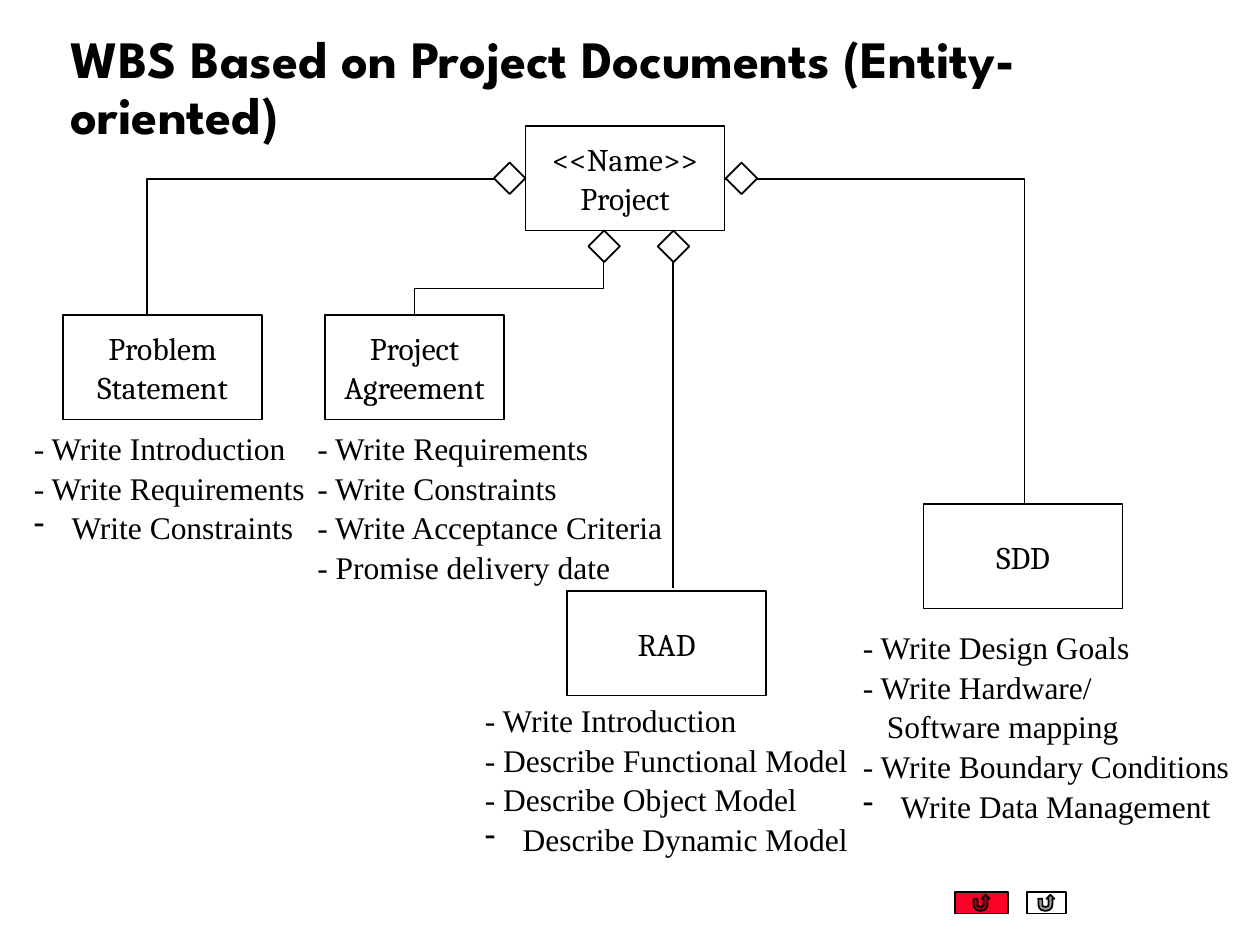
from lxml import etree
from pptx import Presentation
from pptx.dml.color import RGBColor
from pptx.enum.shapes import MSO_CONNECTOR, MSO_SHAPE
from pptx.enum.text import MSO_ANCHOR, PP_ALIGN
from pptx.oxml.ns import qn
from pptx.util import Inches, Pt

COLORS = {"ink": "000000", "paper": "FFFFFF", "alert": "FC0128"}
TITLE_FONT, BOX_FONT, TASK_FONT = "League Spartan", "Cambria", "Times New Roman"
BOX_W, BOX_H, DIAMOND = 1.58, 0.83, 0.25
HANG = 0.3

# name, box (left, top, width), task list (left, top, width, height), tasks;
# a task without its own dash gets a hanging dash bullet
DOCUMENTS = [
    ("Problem\nStatement", (0.5, 2.5, BOX_W), (0.17, 3.34, 2.67, 1.3),
     ["- Write Introduction", "- Write Requirements", "Write Constraints"]),
    ("Project\nAgreement", (2.58, 2.5, 1.42), (2.42, 3.34, 3.17, 1.3),
     ["- Write Requirements", "- Write Constraints",
      "- Write Acceptance Criteria", "- Promise delivery date"]),
    ("RAD", (4.5, 4.69, BOX_W), (3.75, 5.5, 3.33, 1.3),
     ["- Write Introduction", "- Describe Functional Model",
      "- Describe Object Model", "Describe Dynamic Model"]),
    ("SDD", (7.33, 4, BOX_W), (6.75, 4.92, 3.25, 1.6),
     ["- Write Design Goals", "- Write Hardware/\vSoftware mapping",
      "- Write Boundary Conditions", "Write Data Management"]),
]


def rgb(name):
    return RGBColor.from_string(COLORS[name])


def style_font(paragraph, face, size, bold=False):
    for run in paragraph.runs:
        run.font.name = face
        run.font.size = Pt(size)
        run.font.bold = bold
        run.font.color.rgb = rgb("ink")


def set_indent(paragraph, hang):
    properties = paragraph._p.get_or_add_pPr()
    properties.set("marL", str(Inches(hang)))
    properties.set("indent", str(-Inches(hang)))
    return properties


def add_outlined(slide, kind, left, top, width, height, fill="paper"):
    shape = slide.shapes.add_shape(
        kind, Inches(left), Inches(top), Inches(width), Inches(height))
    shape.shadow.inherit = False
    shape.fill.solid()
    shape.fill.fore_color.rgb = rgb(fill)
    shape.line.color.rgb = rgb("ink")
    shape.line.width = Pt(1)
    return shape


def add_title(slide, text, left, top, width, height):
    title = slide.shapes.title
    title.left, title.top = Inches(left), Inches(top)
    title.width, title.height = Inches(width), Inches(height)
    frame = title.text_frame
    frame.text = text
    frame.word_wrap = True
    frame.vertical_anchor = MSO_ANCHOR.MIDDLE
    heading = frame.paragraphs[0]
    heading.alignment = PP_ALIGN.LEFT
    heading.line_spacing = 0.9
    style_font(heading, TITLE_FONT, 30, bold=True)


def add_document_box(slide, name, left, top, width=BOX_W):
    box = add_outlined(slide, MSO_SHAPE.RECTANGLE, left, top, width, BOX_H)
    frame = box.text_frame
    frame.text = name
    frame.word_wrap = False
    frame.vertical_anchor = MSO_ANCHOR.MIDDLE
    for paragraph in frame.paragraphs:
        paragraph.alignment = PP_ALIGN.CENTER
        paragraph.line_spacing = 1.03
        style_font(paragraph, BOX_FONT, 18)


def add_task_list(slide, tasks, left, top, width, height):
    task_box = slide.shapes.add_textbox(
        Inches(left), Inches(top), Inches(width), Inches(height))
    frame = task_box.text_frame
    frame.word_wrap = True
    for index, task in enumerate(tasks):
        paragraph = frame.add_paragraph() if index else frame.paragraphs[0]
        paragraph.text = task
        paragraph.line_spacing = 1.05
        if not task.startswith("-"):
            bullet = etree.SubElement(set_indent(paragraph, HANG), qn("a:buChar"))
            bullet.set("char", "-")
        elif "\v" in task:
            set_indent(paragraph, 0.19)
        style_font(paragraph, TASK_FONT, 18)


def add_link(slide, start, end, geometry="line", turn=0):
    """Draw a link; turn is a clockwise rotation in degrees about its centre."""
    link = slide.shapes.add_connector(
        MSO_CONNECTOR.STRAIGHT, *(Inches(value) for value in (*start, *end)))
    link.line.color.rgb = rgb("ink")
    link.line.width = Pt(1)
    properties = link._element.spPr
    properties.find(qn("a:prstGeom")).set("prst", geometry)
    if turn:
        properties.find(qn("a:xfrm")).set("rot", str(turn * 60000))
    etree.SubElement(properties, qn("a:effectLst"))


def add_aggregations(slide):
    """Join the project to its documents, with a diamond at the project end."""
    add_link(slide, (4.04, 1.42), (1.17, 2.5), "bentConnector2")
    add_link(slide, (3.83, 1.54), (4.25, 3.04), "bentConnector3", turn=90)
    add_link(slide, (5.34, 1.92), (5.34, 4.67))
    add_link(slide, (5.75, 1.42), (8.13, 4), "bentConnector2")
    for left, top in [(3.92, 1.29), (4.67, 1.83), (5.22, 1.83), (5.76, 1.29)]:
        add_outlined(slide, MSO_SHAPE.DIAMOND, left, top, DIAMOND, DIAMOND)


def add_return_buttons(slide, top, height):
    for left, width, fill in [(7.58, 0.42, "alert"), (8.15, 0.31, "paper")]:
        add_outlined(slide, MSO_SHAPE.ACTION_BUTTON_RETURN,
                     left, top, width, height, fill)


def main():
    deck = Presentation()
    deck.slide_width, deck.slide_height = Inches(10), Inches(7.5)
    slide = deck.slides.add_slide(deck.slide_layouts[5])
    add_title(slide, "WBS Based on Project Documents (Entity-oriented)",
              0.46, 0.24, 8.92, 0.94)
    add_document_box(slide, "<<Name>>\nProject", 4.17, 1)
    for name, box, task_area, tasks in DOCUMENTS:
        add_document_box(slide, name, *box)
        add_task_list(slide, tasks, *task_area)
    add_aggregations(slide)
    add_return_buttons(slide, 7.08, 0.17)
    deck.save("out.pptx")


if __name__ == "__main__":
    main()
